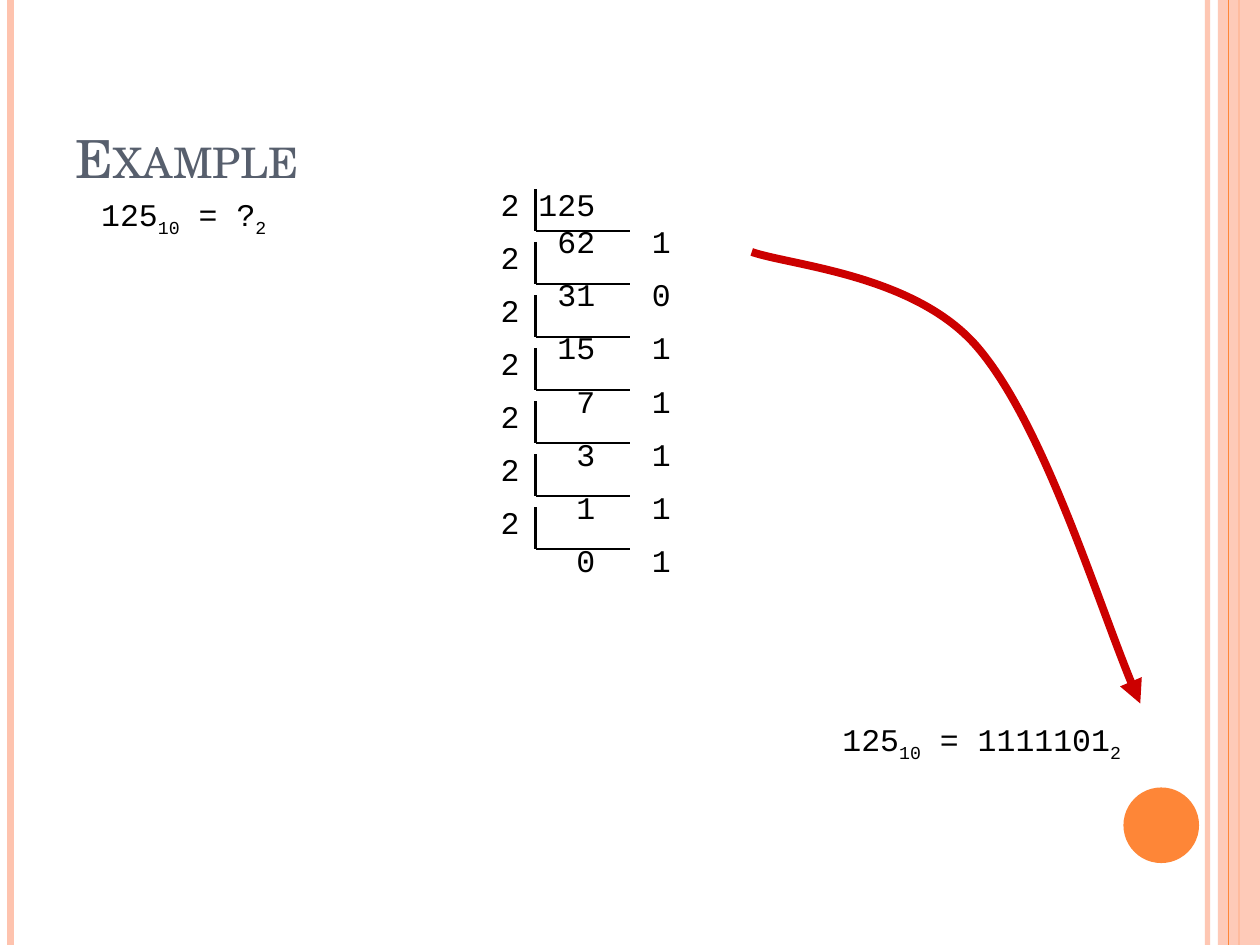
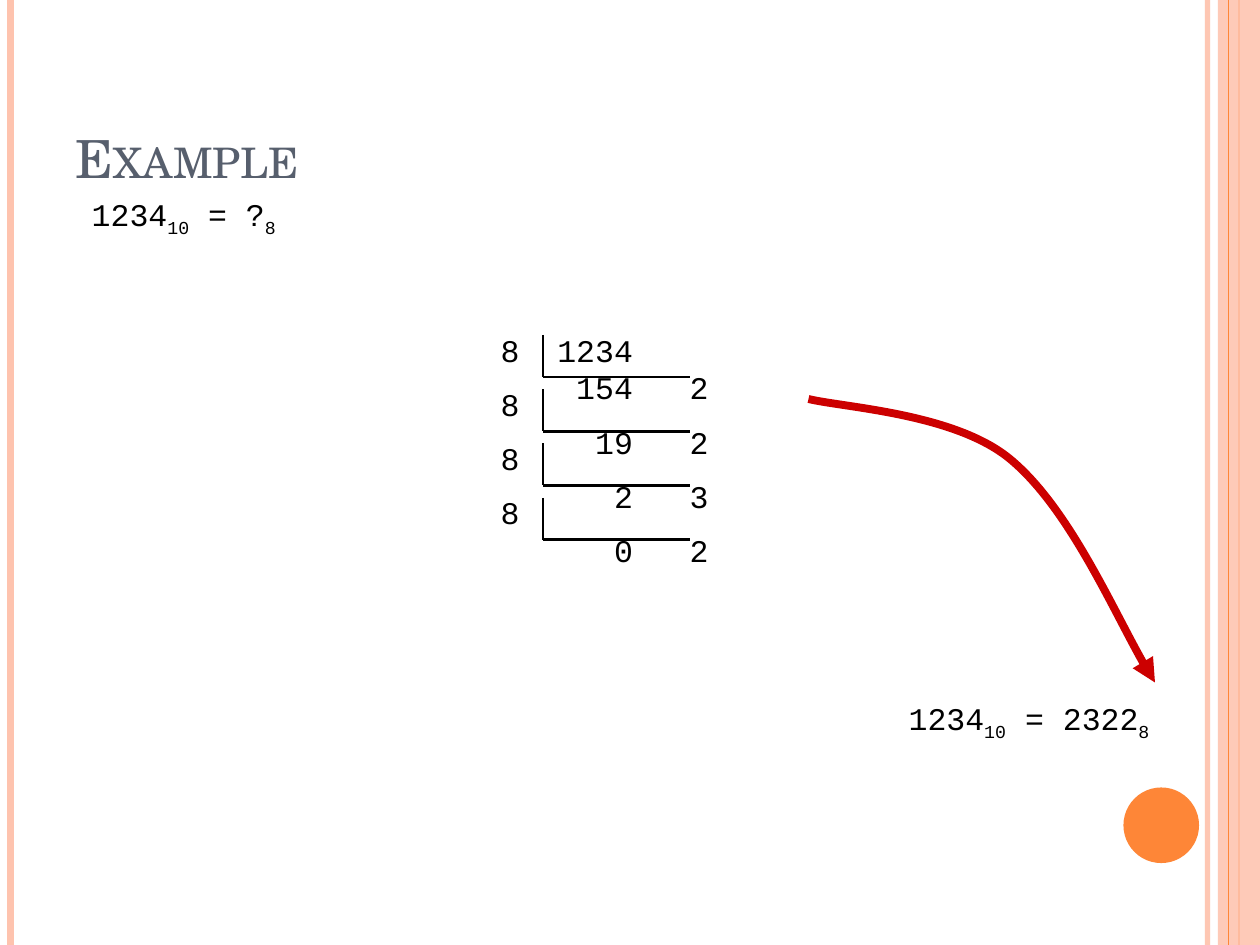
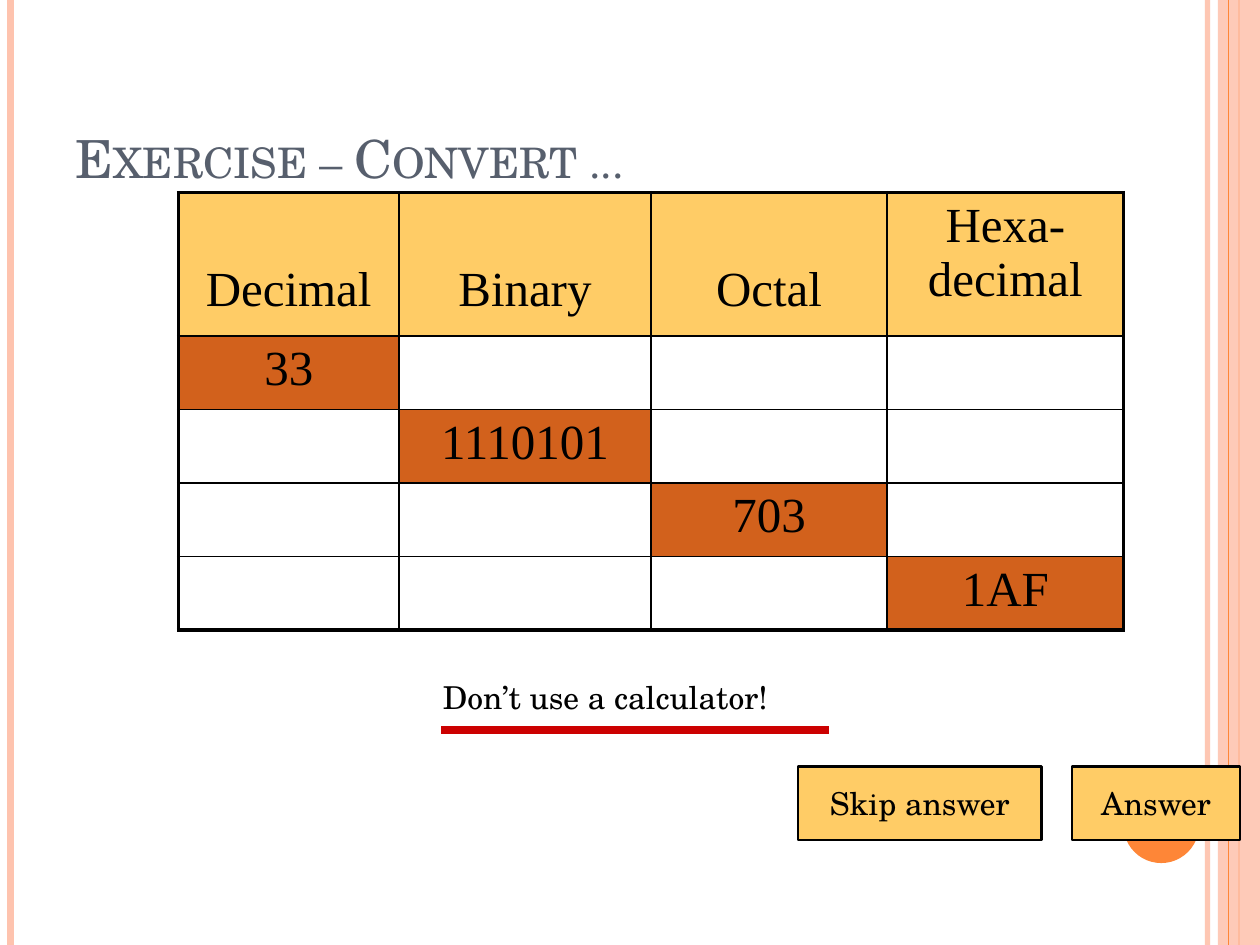
from dataclasses import dataclass

from pptx import Presentation
from pptx.dml.color import RGBColor
from pptx.enum.shapes import MSO_CONNECTOR, MSO_SHAPE
from pptx.enum.text import MSO_ANCHOR, PP_ALIGN
from pptx.oxml.ns import qn
from pptx.oxml.xmlchemy import OxmlElement
from pptx.util import Emu, Inches, Pt

LEFT, CENTER = PP_ALIGN.LEFT, PP_ALIGN.CENTER
TOP, MIDDLE, BOTTOM = MSO_ANCHOR.TOP, MSO_ANCHOR.MIDDLE, MSO_ANCHOR.BOTTOM
STRAIGHT = MSO_CONNECTOR.STRAIGHT
RECTANGLE, OVAL, BUTTON = MSO_SHAPE.RECTANGLE, MSO_SHAPE.OVAL, MSO_SHAPE.ACTION_BUTTON_CUSTOM

SLIDE_W, SLIDE_H = Inches(10), Inches(7.5)
COLUMNS, ROWS = 120, 90
CELL = SLIDE_W / COLUMNS
DIGIT = 1.8


@dataclass(frozen=True)
class Theme:
    """Colours, fonts and sizes of the deck."""
    peach: str = "FEC3AE"
    orange: str = "FE8637"
    slate: str = "575F6D"
    ink: str = "000000"
    red: str = "CC0000"
    gold: str = "FFCC66"
    rust: str = "D2611C"
    serif: str = "TeX Gyre Schola"
    mono: str = "Courier New"
    roman: str = "Times New Roman"
    title: float = 30
    body: float = 18
    table: float = 28
    hairline: float = 0.75
    thin: float = 1
    rule: float = 1.5
    frame: float = 2.25
    rail: float = 3
    heavy: float = 4.5


THEME = Theme()


@dataclass(frozen=True)
class Box:
    """A rectangle in grid columns and rows."""
    x: float
    y: float
    w: float
    h: float

    def emu(self):
        """Return left, top, width and height as lengths."""
        return [cells(n) for n in (self.x, self.y, self.w, self.h)]


def cells(count):
    """Turn a number of grid cells into a length."""
    return Emu(round(count * CELL))


def child(parent, tag, **attributes):
    """Append an XML element with the given attributes."""
    element = OxmlElement(tag)
    for key, value in attributes.items():
        element.set(key, str(value))
    parent.append(element)
    return element


def set_opacity(element, percent):
    """Give the first colour inside an element an opacity."""
    child(next(element.iter(qn("a:srgbClr"))), "a:alpha", val=percent * 1000)


def style_font(paragraph, font, size, color=THEME.ink, align=LEFT):
    """Set the font and alignment of a whole paragraph."""
    paragraph.alignment = align
    paragraph.font.name = font
    paragraph.font.size = Pt(size)
    paragraph.font.color.rgb = RGBColor.from_string(color)


def add_text(slide, box, text, font, size, color=THEME.ink, align=LEFT, anchor=TOP, wrap=True):
    """Add a text box with one paragraph and return the paragraph."""
    frame = slide.shapes.add_textbox(*box.emu()).text_frame
    frame.word_wrap = wrap
    frame.vertical_anchor = anchor
    paragraph = frame.paragraphs[0]
    paragraph.text = text
    style_font(paragraph, font, size, color, align)
    return paragraph


def add_line(slide, x1, y1, x2, y2, color, width):
    """Draw a straight line between two grid points."""
    line = slide.shapes.add_connector(STRAIGHT, *map(cells, (x1, y1, x2, y2)))
    line.line.color.rgb = RGBColor.from_string(color)
    line.line.width = Pt(width)
    child(line._element.spPr, "a:effectLst")
    return line


def add_filled(slide, kind, box, color):
    """Add a plain filled shape without an outline."""
    shape = slide.shapes.add_shape(kind, *box.emu())
    shape.shadow.inherit = False
    shape.fill.solid()
    shape.fill.fore_color.rgb = RGBColor.from_string(color)
    shape.line.fill.background()
    return shape


def add_backdrop(slide):
    """Draw the side rails, the right band and the disc."""
    def rail(x, color, width):
        return add_line(slide, x, 0, x, ROWS, color, width)

    set_opacity(rail(115, THEME.peach, THEME.rail)._element.spPr, 93)
    rail(1, THEME.peach, THEME.heavy)
    rail(118, THEME.orange, THEME.rule)
    band = add_filled(slide, RECTANGLE, Box(116, 0, 4, ROWS), THEME.peach)
    set_opacity(band._element.spPr, 87)
    rail(117, THEME.orange, THEME.hairline)
    add_filled(slide, OVAL, Box(107, 75, 7.2, 7.2), THEME.orange)


def add_title(slide, text):
    """Write the slide title in small capitals."""
    title = add_text(slide, Box(6, 3.6, 98, 15), text, THEME.serif, THEME.title,
                     THEME.slate, anchor=BOTTOM)
    title._p.pPr.find(qn("a:defRPr")).set("cap", "small")


def start_slide(deck, title):
    """Add a blank slide with the shared backdrop and title."""
    slide = deck.slides.add_slide(deck.slide_layouts[6])
    add_backdrop(slide)
    add_title(slide, title)
    return slide


def add_equation(slide, box, number, value, base):
    """Write a decimal number equal to a value in another base."""
    equation = add_text(slide, box, "", THEME.mono, THEME.body, align=CENTER)
    for part, lowered in ((number, False), ("10", True), (f" = {value}", False), (base, True)):
        run = equation.add_run()
        run.text = part
        if lowered:
            run._r.get_or_add_rPr().set("baseline", "-25000")


def add_division(slide, box, lines, stops, bar_x, bar_w):
    """Draw one division step: its digits and the bracket around the dividend."""
    frame = slide.shapes.add_textbox(*box.emu()).text_frame
    frame.word_wrap = True
    frame.text = "\n".join(lines)
    for paragraph in frame.paragraphs:
        tabs = child(paragraph._p.get_or_add_pPr(), "a:tabLst")
        for stop in stops:
            child(tabs, "a:tab", pos=cells(stop), algn="r")
        style_font(paragraph, THEME.mono, THEME.body)
    x, top, floor = box.x + bar_x, box.y + 1, box.y + 5
    add_line(slide, x, top, x, floor, THEME.ink, THEME.rule)
    add_line(slide, x, floor, x + bar_w, floor, THEME.ink, THEME.rule)


def add_ladder(slide, box, step, number, base, last_digit, bar_x, bar_w):
    """Divide a number by the base until nothing is left."""
    stops = (last_digit * DIGIT, (last_digit + 4) * DIGIT)
    first_line = f"{base}\t{number}"
    rest, row = number, 0
    while rest:
        rest, remainder = divmod(rest, base)
        lines = (first_line if row == 0 else str(base), f"\t{rest}\t{remainder}")
        add_division(slide, Box(box.x, box.y + row * step, box.w, box.h), lines,
                     stops, bar_x, bar_w)
        row += 1


def add_reading_arrow(slide, box):
    """Draw the curved arrow from the remainders to the result."""
    shares = ((0.1, 0.03), (0.42, 0.05), (0.58, 0.21), (0.75, 0.38), (0.91, 0.83), (1, 1))
    points = [(cells(box.x + u * box.w), cells(box.y + v * box.h)) for u, v in shares]
    builder = slide.shapes.build_freeform(cells(box.x), cells(box.y))
    builder.add_line_segments(points, close=False)
    arrow = builder.convert_to_shape()
    outline = next(arrow._element.iter(qn("a:path")))
    segments = outline.findall(qn("a:lnTo"))
    for start in range(0, len(segments), 3):
        curve = child(outline, "a:cubicBezTo")
        for segment in segments[start:start + 3]:
            curve.append(segment[0])
            outline.remove(segment)
    arrow.shadow.inherit = False
    arrow.fill.background()
    arrow.line.color.rgb = RGBColor.from_string(THEME.red)
    arrow.line.width = Pt(THEME.heavy)
    child(arrow._element.spPr.find(qn("a:ln")), "a:tailEnd", type="triangle")


def example_slide(deck, number, base, value, ladder, arrow, result):
    """Build a worked conversion of a decimal number."""
    slide = start_slide(deck, "Example")
    add_equation(slide, Box(4, 18, 27, 6), str(number), "?", str(base))
    add_ladder(slide, number=number, base=base, **ladder)
    add_equation(slide, result, str(number), value, str(base))
    add_reading_arrow(slide, arrow)


def set_borders(cell, **widths):
    """Set the left, right, top and bottom borders of a cell."""
    for side in "LRTB":
        edge = child(cell._tc.get_or_add_tcPr(), f"a:ln{side}", w=Pt(widths[side]))
        child(child(edge, "a:solidFill"), "a:srgbClr", val=THEME.ink)


def fill_cell(cell, text, color):
    """Write a centred entry on a coloured cell, or leave the cell clear."""
    if not text:
        cell.fill.background()
        return
    cell.fill.solid()
    cell.fill.fore_color.rgb = RGBColor.from_string(color)
    cell.text = text
    for paragraph in cell.text_frame.paragraphs:
        style_font(paragraph, THEME.roman, THEME.table, align=CENTER)


def add_conversion_table(slide, box, headings, givens):
    """Draw the table whose diagonal holds the given numbers."""
    last = len(headings) - 1
    bottom = len(givens)
    table = slide.shapes.add_table(bottom + 1, last + 1, *box.emu()).table
    table.first_row = table.horz_banding = False
    for column, share in zip(table.columns, (21, 24, 22.5, 22.5)):
        column.width = cells(share * box.w / 90)
    for row in table.rows:
        row.height = cells(7)
    table.rows[0].height = cells(box.h - 7 * bottom)
    for r in range(bottom + 1):
        for c in range(last + 1):
            cell = table.cell(r, c)
            at_edge = {"L": c == 0, "R": c == last, "T": r == 0, "B": r == bottom}
            set_borders(cell, **{side: THEME.frame if edge else THEME.thin
                                 for side, edge in at_edge.items()})
            if r == 0:
                fill_cell(cell, headings[c], THEME.gold)
                if "\v" not in headings[c]:
                    cell.vertical_anchor = BOTTOM
                    cell.margin_bottom = Inches(0.15)
            else:
                fill_cell(cell, givens[c] if c == r - 1 else "", THEME.rust)


def add_reminder(slide, box, text):
    """Write the underlined reminder."""
    add_text(slide, box, text, THEME.serif, THEME.body, wrap=False)
    y = box.y + 5.5
    add_line(slide, box.x + 1, y, box.x + box.w - 1, y, THEME.red, THEME.heavy)


def add_button(slide, box, text):
    """Add a framed button with a centred label."""
    button = add_filled(slide, BUTTON, box, THEME.gold)
    button.line.color.rgb = RGBColor.from_string(THEME.ink)
    button.line.width = Pt(THEME.rule)
    frame = button.text_frame
    frame.word_wrap = False
    frame.vertical_anchor = MIDDLE
    frame.text = text
    style_font(frame.paragraphs[0], THEME.serif, THEME.body, align=CENTER)


def exercise_slide(deck):
    """Build the conversion exercise."""
    slide = start_slide(deck, "Exercise – Convert ...")
    add_reminder(slide, Box(41, 64, 39, 6), "Don’t use a calculator!")
    add_conversion_table(slide, Box(17, 18.35, 90, 41.65),
                         ("Decimal", "Binary", "Octal", "Hexa-\vdecimal"),
                         ("33", "1110101", "703", "1AF"))
    add_button(slide, Box(76, 73, 23.2, 7), "Skip answer")
    add_button(slide, Box(102.1, 73, 16, 7), "Answer")


def main():
    """Build the deck and save it."""
    deck = Presentation()
    deck.slide_width, deck.slide_height = SLIDE_W, SLIDE_H
    example_slide(deck, 125, 2, "1111101",
                  ladder=dict(box=Box(46.5, 17, 27, 10.8), step=5.05, last_digit=5,
                              bar_x=4.5, bar_w=9),
                  arrow=Box(71.6, 24, 37, 43), result=Box(72, 68, 43, 6))
    example_slide(deck, 1234, 8, "2322",
                  ladder=dict(box=Box(46.5, 30.9, 28.8, 10.8), step=5.17, last_digit=7,
                              bar_x=5.2, bar_w=14),
                  arrow=Box(77, 38, 33, 27), result=Box(79, 66, 38, 6))
    exercise_slide(deck)
    deck.save("out.pptx")


if __name__ == "__main__":
    main()
